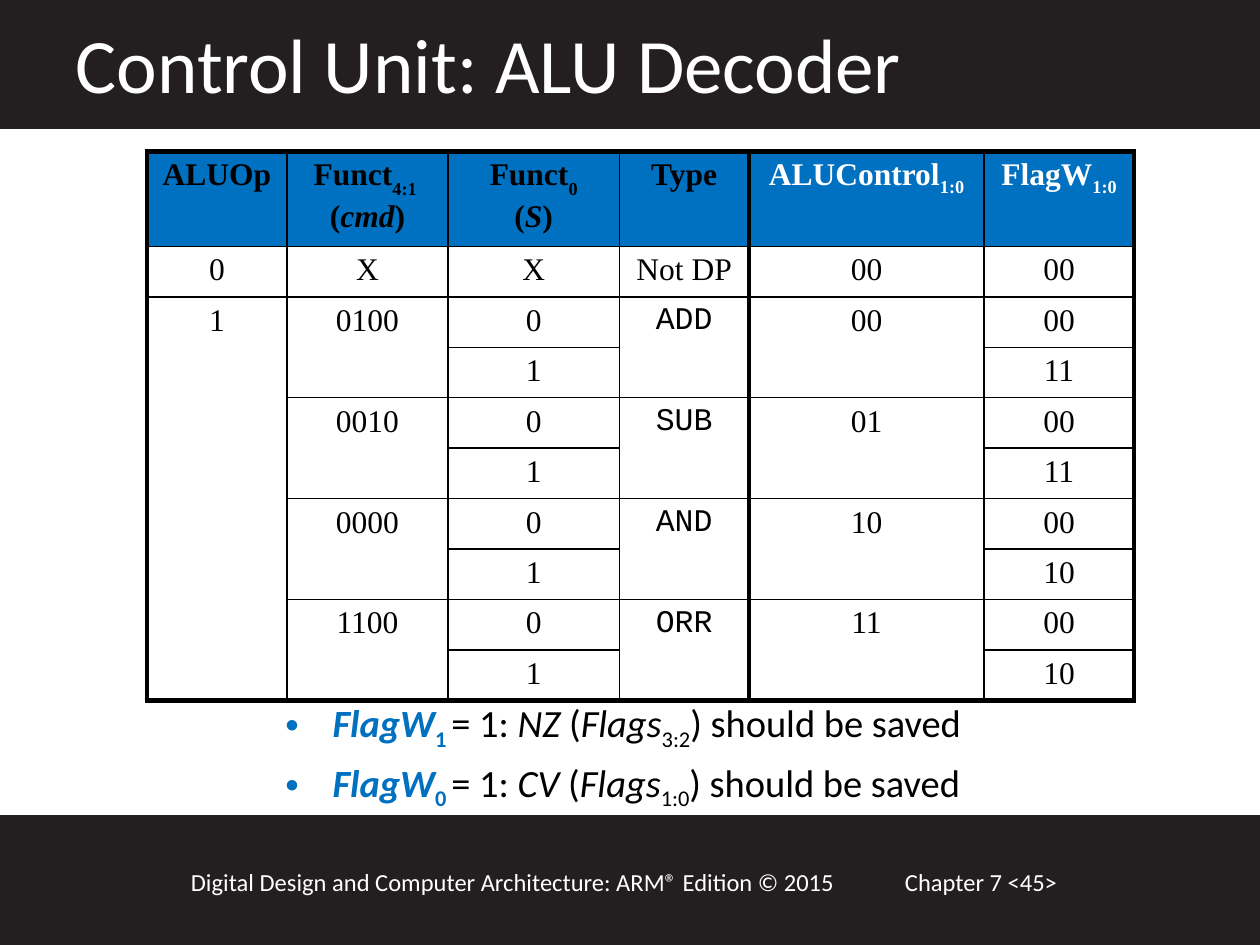
from lxml.etree import SubElement
from pptx import Presentation
from pptx.dml.color import RGBColor
from pptx.enum.shapes import MSO_SHAPE
from pptx.enum.text import MSO_ANCHOR, MSO_AUTO_SIZE, PP_ALIGN
from pptx.oxml.ns import qn
from pptx.util import Pt

INK = RGBColor(0x23, 0x1F, 0x20)
BLUE = RGBColor(0x00, 0x70, 0xC0)
BLACK = RGBColor(0, 0, 0)
WHITE = RGBColor(0xFF, 0xFF, 0xFF)
SANS, SERIF, MONO = "Calibri", "Times New Roman", "Courier New"

COLUMN_WIDTHS = [80, 92, 98, 74, 134.5, 85.5]
HEADER_HEIGHT, ROW_HEIGHT = 44.5, 26.5
THICK, THIN = 3, 1
ITALIC = {"italic": True}
SUB30, SUB25 = {"baseline": -30}, {"baseline": -25}

# One entry per column, holding its lines; each line is a list of (text, format) runs.
HEADERS = [
    [[("ALUOp", {})]],
    [[("Funct", {}), ("4:1 ", SUB30)], [("(", {}), ("cmd", ITALIC), (")", {})]],
    [[("Funct", {}), ("0", SUB30)], [("(", {}), ("S", ITALIC), (")", {})]],
    [[("Type", {})]],
    [[("ALUControl", {}), ("1:0", SUB25)]],
    [[("FlagW", {}), ("1:0", SUB25)]],
]
# cmd, type, ALUControl, and FlagW when S is 1
OPERATIONS = [
    ("0100", "ADD", "00", "11"),
    ("0010", "SUB", "01", "11"),
    ("0000", "AND", "10", "10"),
    ("1100", "ORR", "11", "10"),
]
# FlagW bit, flags saved, and their bits
FLAG_RULES = [("1", "NZ", "3:2"), ("0", "CV", "1:0")]


def add_text(paragraph, text, size=18, font=SERIF, color=BLACK, bold=False,
             italic=False, baseline=0):
    run = paragraph.add_run()
    run.text = text
    run.font.size = Pt(size)
    run.font.name = font
    run.font.color.rgb = color
    run.font.bold = bold
    run.font.italic = italic
    if baseline:
        run.font._element.set("baseline", str(baseline * 1000))


def set_indent(paragraph, left, first_line):
    properties = paragraph._p.get_or_add_pPr()
    properties.set("marL", str(Pt(left)))
    properties.set("indent", str(Pt(first_line)))
    return properties


def add_frame(slide, left, top, width, height):
    box = slide.shapes.add_textbox(Pt(left), Pt(top), Pt(width), Pt(height))
    box.text_frame.word_wrap = True
    box.text_frame.auto_size = MSO_AUTO_SIZE.SHAPE_TO_FIT_TEXT
    return box.text_frame


def add_band(slide, left, top, width, height):
    band = slide.shapes.add_shape(MSO_SHAPE.RECTANGLE, Pt(left), Pt(top), Pt(width), Pt(height))
    band.shadow.inherit = False
    band.fill.solid()
    band.fill.fore_color.rgb = INK
    band.line.color.rgb = INK
    band.line.width = Pt(2)


def add_title(slide, left, top, width, height):
    add_band(slide, 0, 0, 720, 73)
    title = slide.shapes.title
    title.element.getparent().append(title.element)  # in front of the band
    title.left, title.top, title.width, title.height = Pt(left), Pt(top), Pt(width), Pt(height)
    title.text_frame.vertical_anchor = MSO_ANCHOR.TOP
    title.text_frame.auto_size = MSO_AUTO_SIZE.SHAPE_TO_FIT_TEXT
    heading = title.text_frame.paragraphs[0]
    heading.alignment = PP_ALIGN.LEFT
    add_text(heading, "Control Unit: ALU Decoder", size=44, font=SANS, color=WHITE)


def add_footer(slide, left, top, width, height):
    add_band(slide, left, top, width, height)
    for offset, line_width, text in [
        (510, 156, "Chapter 7 <45>"),
        (102, 414, "Digital Design and Computer Architecture: ARM® Edition © 2015"),
    ]:
        frame = add_frame(slide, left + offset, top + 25.5, line_width, 24.5)
        add_text(frame.paragraphs[0], text, size=14, font=SANS, color=WHITE)


def set_borders(cell, **widths):
    """Draw the L, R, T and B borders, which must come before the cell's fill."""
    properties = cell._tc.get_or_add_tcPr()
    for side, width in widths.items():
        border = SubElement(properties, qn(f"a:ln{side}"), w=str(Pt(width)))
        fill = SubElement(border, qn("a:solidFill"))
        SubElement(fill, qn("a:srgbClr"), val=str(BLACK))


def fill_cell(cell, lines, **text_format):
    for index, runs in enumerate(lines):
        frame = cell.text_frame
        paragraph = frame.add_paragraph() if index else frame.paragraphs[0]
        set_indent(paragraph, 27, -27)
        paragraph.alignment = PP_ALIGN.CENTER
        for text, run_format in runs:
            add_text(paragraph, text, **text_format, **run_format)


def add_decoder_table(slide, left, top, width, height):
    row_count, column_count = 2 + 2 * len(OPERATIONS), len(COLUMN_WIDTHS)
    table_frame = slide.shapes.add_table(row_count, column_count,
                                         Pt(left), Pt(top), Pt(width), Pt(height))
    table = table_frame.table
    table.first_row = table.horz_banding = False
    for column, column_width in zip(table.columns, COLUMN_WIDTHS):
        column.width = Pt(column_width)
    for index, row in enumerate(table.rows):
        row.height = Pt(ROW_HEIGHT if index else HEADER_HEIGHT)
    table_frame.height = Pt(height)

    for index, lines in enumerate(HEADERS):
        fill_cell(table.cell(0, index), lines, bold=True, color=BLACK if index < 4 else WHITE)

    def put(row, column, text):
        font = MONO if column == 3 and row > 1 else SERIF
        fill_cell(table.cell(row, column), [[(text, {})]], font=font)

    for column, text in enumerate(["0", "X", "X", "Not DP", "00", "00"]):
        put(1, column, text)
    put(2, 0, "1")
    table.cell(2, 0).merge(table.cell(row_count - 1, 0))
    for index, (command, kind, control, flags) in enumerate(OPERATIONS):
        row = 2 + 2 * index
        for column, text in [(1, command), (3, kind), (4, control)]:
            put(row, column, text)
            table.cell(row, column).merge(table.cell(row + 1, column))
        for offset, (s_bit, flag_write) in enumerate([("0", "00"), ("1", flags)]):
            put(row + offset, 2, s_bit)
            put(row + offset, 5, flag_write)

    for row in range(row_count):
        for column in range(column_count):
            cell = table.cell(row, column)
            last_row = row + (cell.span_height if cell.is_merge_origin else 1) - 1
            set_borders(
                cell,
                L=THICK if column in (0, 4) else THIN,
                R=THICK if column in (3, 5) else THIN,
                T=THICK if row == 0 else THIN,
                B=THICK if last_row == row_count - 1 else THIN,
            )
            if row == 0:
                cell.fill.solid()
                cell.fill.fore_color.rgb = BLUE
            else:
                cell.fill.background()


def add_flag_rules(slide, left, top, width, height):
    frame = add_frame(slide, left, top, width, height)
    for index, (bit, flags, flag_bits) in enumerate(FLAG_RULES):
        paragraph = frame.add_paragraph() if index else frame.paragraphs[0]
        paragraph.level = 1
        if index:
            paragraph.space_before = Pt(4)
        properties = set_indent(paragraph, 63, -27)
        SubElement(properties, qn("a:buFont"), typeface="Arial")
        SubElement(properties, qn("a:buChar"), char="•")
        accent = {"color": BLUE, "bold": True}
        for text, run_format in [
            ("FlagW", accent | ITALIC), (f"{bit} ", accent | SUB25), ("= 1: ", {}),
            (flags, ITALIC), (" (", {}), ("Flags", ITALIC), (flag_bits, SUB25),
            (") should be saved", {}),
        ]:
            add_text(paragraph, text, size=22, font=SANS, **run_format)


def main():
    deck = Presentation()
    deck.slide_width, deck.slide_height = Pt(720), Pt(540)
    slide = deck.slides.add_slide(deck.slide_layouts[5])
    add_footer(slide, 0, 466.5, 720, 73)
    add_title(slide, 36, 6, 624, 60.5)
    add_decoder_table(slide, 84, 86.5, 564, 309.5)
    add_flag_rules(slide, 120, 396, 498, 87)
    deck.save("out.pptx")


if __name__ == "__main__":
    main()
